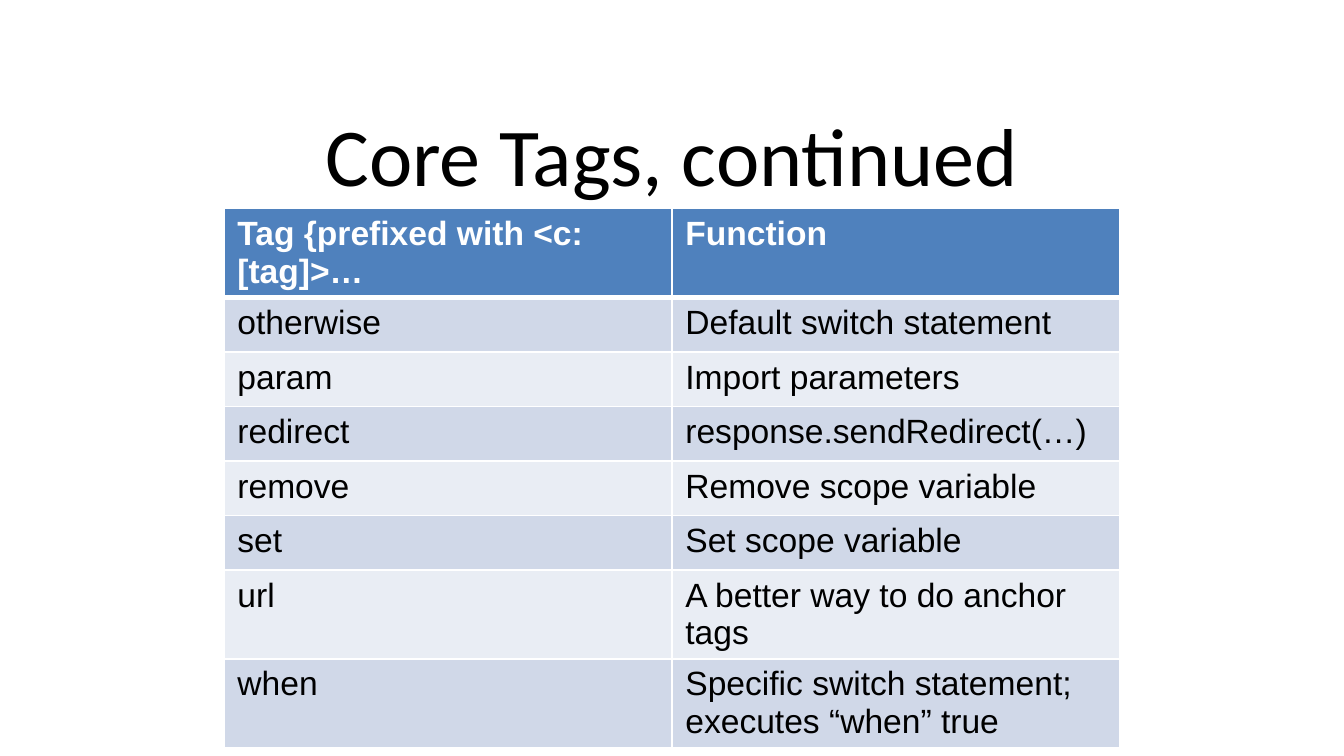
import pptx
import pptx.dml.color
import pptx.enum.text
import pptx.oxml
import pptx.oxml.ns
import pptx.util

PX = 9525  # EMU per px, 96 px to the inch
TITLE_ONLY = 5

ROWS = [
    ("Tag {prefixed with <c:[tag]>…", "Function"),
    ("otherwise", "Default switch statement"),
    ("param", "Import parameters"),
    ("redirect", "response.sendRedirect(…)"),
    ("remove", "Remove scope variable"),
    ("set", "Set scope variable"),
    ("url", "A better way to do anchor tags"),
    ("when", "Specific switch statement; executes “when” true"),
]


def color(hex_string):
    return pptx.dml.color.RGBColor.from_string(hex_string)


class SlideBuilder:
    title_font, body_font = "Calibri", "Arial"
    text, white = "000000", "FFFFFF"
    header_fill = "4F81BD"
    band_fills = ("E9EDF4", "D0D8E8")
    title_size, body_size = 44, 18
    thin, thick = 1, 3

    def __init__(self, slide):
        self.slide = slide

    def format_text(self, text_frame, font_name, size, hex_string, bold=False):
        for paragraph in text_frame.paragraphs:
            for run in paragraph.runs:
                run.font.name = font_name
                run.font.size = pptx.util.Pt(size)
                run.font.bold = bold
                run.font.color.rgb = color(hex_string)

    def title(self, text, left, top, width, height):
        shape = self.slide.shapes.title
        shape.left, shape.top = left * PX, top * PX
        shape.width, shape.height = width * PX, height * PX
        frame = shape.text_frame
        frame.text = text
        frame.word_wrap = True
        frame.auto_size = pptx.enum.text.MSO_AUTO_SIZE.NONE
        frame.vertical_anchor = pptx.enum.text.MSO_ANCHOR.MIDDLE
        frame.paragraphs[0].alignment = pptx.enum.text.PP_ALIGN.CENTER
        self.format_text(frame, self.title_font, self.title_size, self.text)

    def borders(self, cell, top, bottom):
        properties = cell._tc.get_or_add_tcPr()
        widths = {"L": self.thin, "R": self.thin, "T": top, "B": bottom}
        for side, points in widths.items():
            properties.append(pptx.oxml.parse_xml(
                f'<a:ln{side} {pptx.oxml.ns.nsdecls("a")} w="{pptx.util.Pt(points)}">'
                f'<a:solidFill><a:srgbClr val="{self.white}"/></a:solidFill></a:ln{side}>'
            ))

    def table(self, rows, left, top, width, row_height):
        table = self.slide.shapes.add_table(
            len(rows), len(rows[0]), left * PX, top * PX,
            width * PX, row_height * len(rows) * PX,
        ).table
        for row_index, row in enumerate(rows):
            header = row_index == 0
            fill = self.header_fill if header else self.band_fills[row_index % 2]
            # The thick rule lies between the header and the first body row
            top_width = self.thick if row_index == 1 else self.thin
            bottom_width = self.thick if header else self.thin
            for column_index, text in enumerate(row):
                cell = table.cell(row_index, column_index)
                cell.text_frame.text = text
                self.format_text(cell.text_frame, self.body_font, self.body_size,
                                 self.white if header else self.text, header)
                self.borders(cell, top_width, bottom_width)
                cell.fill.solid()
                cell.fill.fore_color.rgb = color(fill)


def main():
    presentation = pptx.Presentation()
    presentation.slide_width, presentation.slide_height = 960 * PX, 540 * PX
    layout = presentation.slide_layouts[TITLE_ONLY]
    builder = SlideBuilder(presentation.slides.add_slide(layout))

    # Heading
    builder.title("Core Tags, continued", 48, 70, 864, 79)

    # Tag reference table
    builder.table(ROWS, left=160, top=149, width=640, row_height=39)

    presentation.save("out.pptx")


if __name__ == "__main__":
    main()
